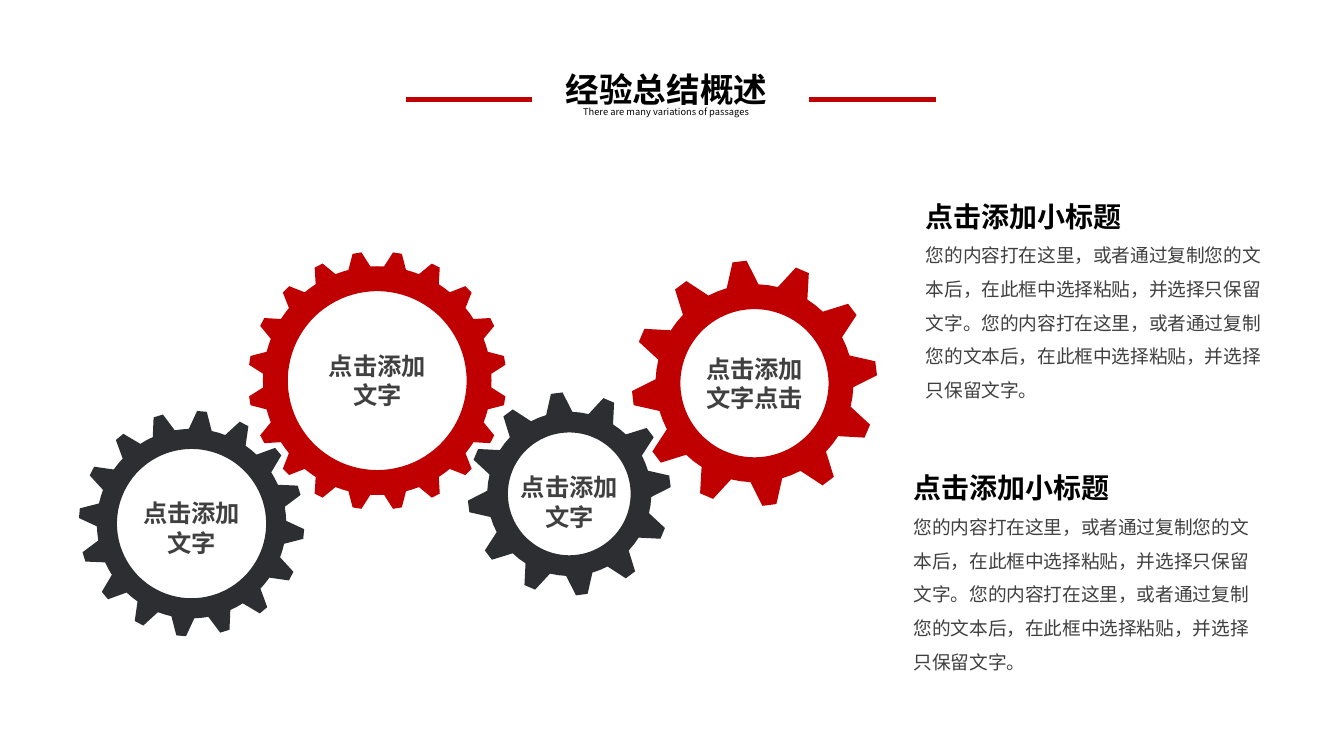
import math

from lxml import etree
from pptx import Presentation
from pptx import util as u
from pptx.dml.color import RGBColor
from pptx.enum import shapes, text
from pptx.oxml.ns import qn

FONT = "Noto Sans CJK SC"
RED, DARK, GREY, BLACK = "C00000", "2C2E32", "404040", "000000"
BODY = "您的内容打在这里，或者通过复制您的文本后，在此框中选择粘贴，并选择只保留文字。" * 2

# centre x, centre y, hole, root and tip radii (cm), teeth, angle of first tooth,
# colour, label lines, label shift down (cm)
GEARS = [
    (7.13, 7.19, 1.69, 2.16, 2.44, 20, 9, RED, ["点击添加", "文字"], 0),
    (10.76, 9.33, 1.16, 1.55, 1.92, 12, -7.1, DARK, ["点击添加", "文字"], 0.15),
    (3.62, 9.89, 1.41, 1.79, 2.13, 16, 5.3, DARK, ["点击添加", "文字"], 0.08),
    (14.26, 7.24, 1.4, 1.87, 2.32, 12, -7, RED, ["点击添加", "文字点击"], 0),
]


def colour(value):
    return RGBColor.from_string(value)


def add_span(para, words, size, ink, bold=False):
    span = para.add_run()
    span.text = words
    for name, value in dict(size=u.Pt(size), bold=bold, name=FONT).items():
        setattr(span.font, name, value)
    span.font.color.rgb = colour(ink)
    east_asian = etree.SubElement(span._r.get_or_add_rPr(), qn("a:ea"))
    east_asian.set("typeface", FONT)


def format_frame(frame, inset_x, inset_y, anchor=text.MSO_ANCHOR.TOP):
    values = dict(
        word_wrap=True, auto_size=text.MSO_AUTO_SIZE.NONE, vertical_anchor=anchor,
        margin_left=u.Cm(inset_x), margin_right=u.Cm(inset_x),
        margin_top=u.Cm(inset_y), margin_bottom=u.Cm(inset_y),
    )
    for name, value in values.items():
        setattr(frame, name, value)


def add_text(page, box, lines, inset=(0.18, 0.1), anchor=text.MSO_ANCHOR.TOP, **layout):
    """Each line is (words, size, ink, bold); layout holds paragraph settings."""
    frame = page.shapes.add_textbox(*map(u.Cm, box)).text_frame
    format_frame(frame, *inset, anchor)
    for index, line in enumerate(lines):
        para = frame.add_paragraph() if index else frame.paragraphs[0]
        for name, value in layout.items():
            setattr(para, name, value)
        add_span(para, *line)


def add_heading(page, left, top, width):
    title = page.shapes.title
    box = dict(left=left + 2.77, top=top, width=4.42, height=1.02)
    for name, value in box.items():
        setattr(title, name, u.Cm(value))
    format_frame(title.text_frame, 0.25, 0.13)
    para = title.text_frame.paragraphs[0]
    para.alignment = text.PP_ALIGN.LEFT
    add_span(para, "经验总结概述", 18, BLACK, True)

    add_text(page, (left + 3.35, top + 0.84, 3.66, 0.2),
             [("There are many variations of passages", 5, BLACK)], inset=(0, 0))

    rule_length, rule_y = 2.39, u.Cm(top + 0.71)
    for start in (left, left + width - rule_length):
        rule = page.shapes.add_connector(
            shapes.MSO_CONNECTOR.STRAIGHT,
            u.Cm(start), rule_y, u.Cm(start + rule_length), rule_y)
        rule.line.color.rgb = colour(RED)
        rule.line.width = u.Pt(2.5)
        etree.SubElement(rule._element.spPr, qn("a:effectLst"))


def add_gear(page, x, y, hole, root, tip, teeth, phase, fill, label, shift):
    def point(radius, degrees):
        angle = math.radians(degrees)
        return (u.Cm(x + radius * math.sin(angle)), u.Cm(y - radius * math.cos(angle)))

    pitch = 360 / teeth
    tooth = [(root, -0.31), (tip, -0.11), (tip, 0.11), (root, 0.31), (root, 0.5)]
    rim = [point(radius, phase + (index + part) * pitch)
           for index in range(teeth) for radius, part in tooth]
    inner = [point(hole, -degrees) for degrees in range(0, 360, 4)]

    builder = page.shapes.build_freeform(*rim[0])
    builder.add_line_segments(rim[1:], close=True)
    builder.move_to(*inner[0])
    builder.add_line_segments(inner[1:], close=True)
    gear = builder.convert_to_shape()
    gear.shadow.inherit = False
    gear.fill.solid()
    gear.fill.fore_color.rgb = colour(fill)
    gear.line.fill.background()

    width, height = 2.34, 1.3
    add_text(page, (x - width / 2, y + shift - height / 2, width, height),
             [(words, 13, GREY, True) for words in label],
             anchor=text.MSO_ANCHOR.MIDDLE, alignment=text.PP_ALIGN.CENTER)


def add_note(page, left, top):
    add_text(page, (left, top, 6.81, 4.37),
             [("点击添加小标题", 15, BLACK, True), (BODY, 10, GREY)], line_spacing=1.5)


def main():
    deck = Presentation()
    deck.slide_width, deck.slide_height = u.Cm(25.4), u.Cm(14.28)
    page = deck.slides.add_slide(deck.slide_layouts[5])
    add_heading(page, 7.67, 1.17, 10.01)
    for gear in GEARS:
        add_gear(page, *gear)
    add_note(page, 17.32, 3.35)
    add_note(page, 17.09, 8.48)
    deck.save("out.pptx")


if __name__ == "__main__":
    main()
